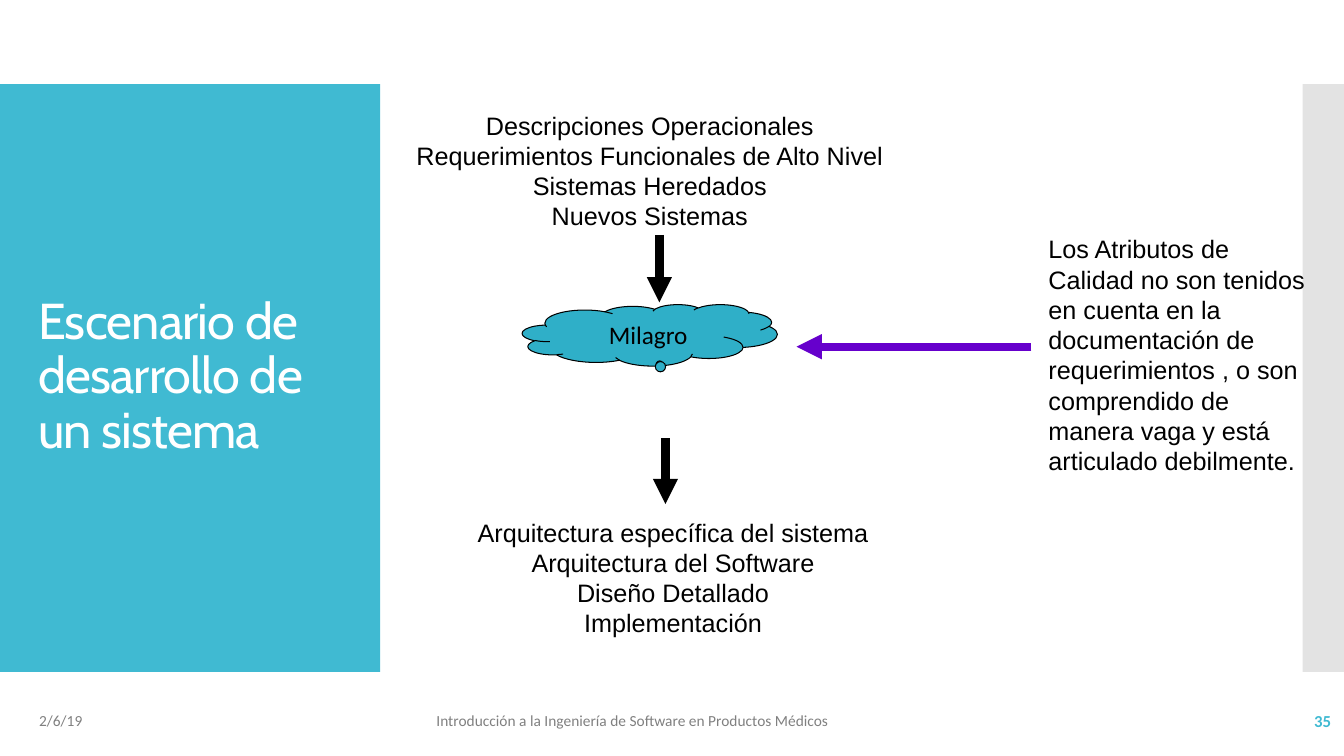
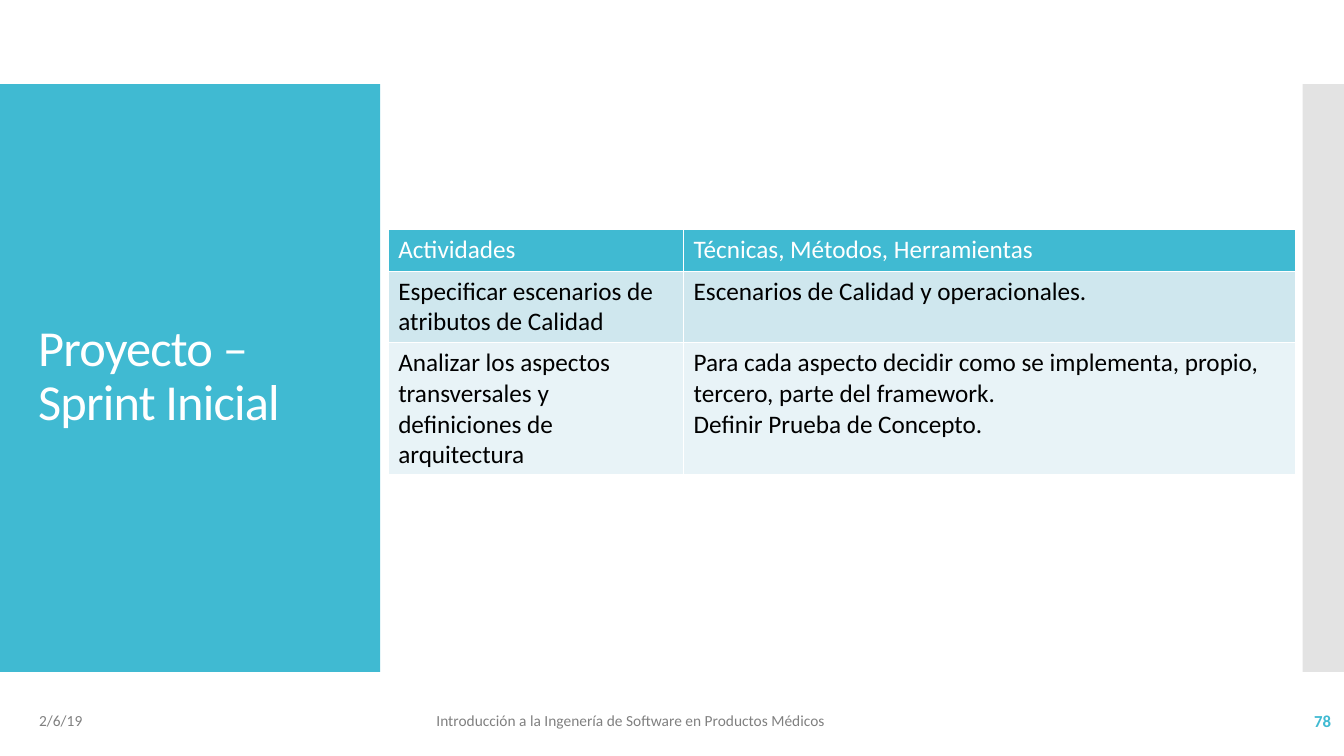
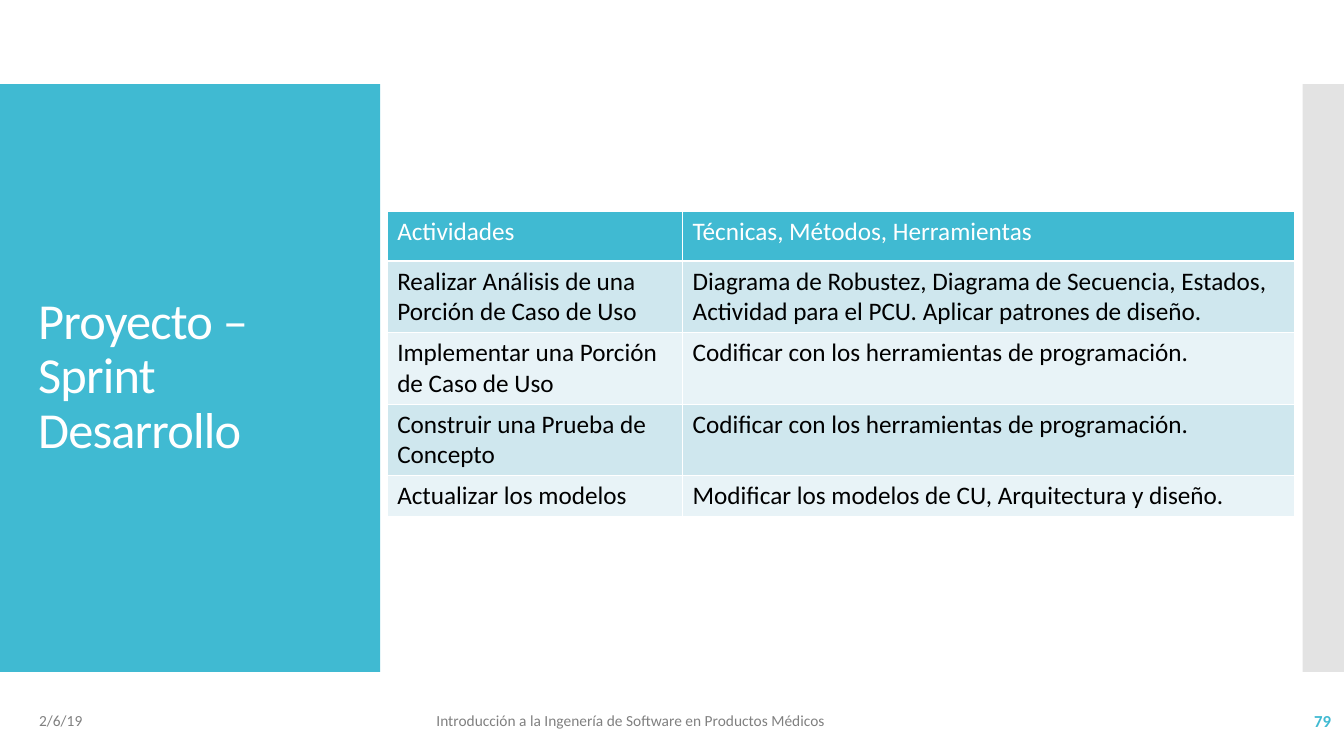
import pptx
import pptx.util
import pptx.dml.color
import pptx.enum.shapes
import pptx.enum.text
import pptx.oxml
import pptx.oxml.ns

Inches, Pt = pptx.util.Inches, pptx.util.Pt
SHAPE = pptx.enum.shapes.MSO_SHAPE
ALIGN = pptx.enum.text.PP_ALIGN
MIDDLE = pptx.enum.text.MSO_ANCHOR.MIDDLE
qn = pptx.oxml.ns.qn

# Shared look
WIDTH, HEIGHT = 13.33, 7.5
BAND_TOP, BAND_HEIGHT = HEIGHT / 9, HEIGHT * 7 / 9
TEAL, GREY, BLACK, WHITE = "40BAD2", "808080", "000000", "FFFFFF"
ROW_FILLS = ["CFE7EE", "E8F3F7"]
DATE = "2/6/19"

# Content
SCENARIO = {
    "title": "Escenario de desarrollo de un sistema", "title_font": "Cabin", "number": "35",
    "footer": "Introducción a la Ingeniería de Software en Productos Médicos",
}
INPUTS = ["Descripciones Operacionales", "Requerimientos Funcionales de Alto Nivel",
          "Sistemas Heredados", "Nuevos Sistemas"]
OUTPUTS = ["Arquitectura específica del sistema", "Arquitectura del Software",
           "Diseño Detallado", "Implementación"]
QUALITY_NOTE = ("Los Atributos de Calidad no son tenidos en cuenta en la documentación de "
                "requerimientos , o son comprendido de manera vaga y está articulado debilmente.")
# start, end, colour
ARROWS = [((6.54, 2.33), (6.54, 3), BLACK),
          ((6.6, 4.35), (6.6, 5), BLACK),
          ((10.23, 3.44), (7.9, 3.44), "6600CC")]

SPRINT_FOOTER = "Introducción a la Ingenería de Software en Productos Médicos"
TABLE_HEAD = ("Actividades", "Técnicas, Métodos, Herramientas")
COLUMNS = [2.93, 6.07]
# each row: height, activity, techniques
SPRINTS = [
    {"title": "Proyecto – Sprint Inicial", "title_font": "Calibri", "number": "78",
     "footer": SPRINT_FOOTER, "corner": (3.85, 2.28),
     "rows": [
         (0.41, *TABLE_HEAD),
         (0.71, "Especificar escenarios de atributos de Calidad",
          "Escenarios de Calidad y operacionales."),
         (1.31, "Analizar los aspectos transversales y definiciones de arquitectura",
          "Para cada aspecto decidir como se implementa, propio, tercero, parte del framework.\n"
          "Definir Prueba de Concepto."),
     ]},
    {"title": "Proyecto – Sprint Desarrollo", "title_font": "Calibri", "number": "79",
     "footer": SPRINT_FOOTER, "corner": (3.84, 2.1),
     "rows": [
         (0.49, *TABLE_HEAD),
         (0.71, "Realizar Análisis de una Porción de Caso de Uso",
          "Diagrama de Robustez, Diagrama de Secuencia, Estados, Actividad para el PCU. "
          "Aplicar patrones de diseño."),
         (0.71, "Implementar una Porción de Caso de Uso",
          "Codificar con los herramientas de programación."),
         (0.71, "Construir una Prueba de Concepto",
          "Codificar con los herramientas de programación."),
         (0.41, "Actualizar los modelos",
          "Modificar los modelos de CU, Arquitectura y diseño."),
     ]},
]


def rgb(colour):
    return pptx.dml.color.RGBColor.from_string(colour)


def paint(target, colour):
    target.fill.solid()
    target.fill.fore_color.rgb = rgb(colour)


def style(paragraph, size, font, colour, bold=False, align=None):
    paragraph.font.size, paragraph.font.name = Pt(size), font
    paragraph.font.color.rgb = rgb(colour)
    paragraph.font.bold = bold
    paragraph.alignment = align


def add_text(slide, box, lines, size=18, font="Arial", colour=BLACK, bold=False,
             align=None, anchor=None, wrap=True):
    frame = slide.shapes.add_textbox(*map(Inches, box)).text_frame
    frame.word_wrap = wrap
    frame.vertical_anchor = anchor
    frame.text = "\n".join(lines)
    for paragraph in frame.paragraphs:
        style(paragraph, size, font, colour, bold, align)
    return frame


def add_shape(slide, kind, box, colour):
    shape = slide.shapes.add_shape(kind, *map(Inches, box))
    shape.shadow.inherit = False
    paint(shape, colour)
    shape.line.fill.background()
    return shape


def add_arrow(slide, start, end, colour):
    arrow = slide.shapes.add_connector(pptx.enum.shapes.MSO_CONNECTOR.STRAIGHT,
                                       *map(Inches, start + end))
    arrow.line.width = Pt(6)
    arrow.line.color.rgb = rgb(colour)
    arrow.line._get_or_add_ln().append(pptx.oxml.ns.qn and
                                       pptx.oxml.parse_xml(
        '<a:tailEnd xmlns:a="http://schemas.openxmlformats.org/drawingml/2006/main" type="triangle"/>'))
    arrow._element.spPr.append(arrow._element.makeelement(qn("a:effectLst"), {}))


def add_frame(deck, page):
    """Slide with bands, title and footer."""
    slide = deck.slides.add_slide(deck.slide_layouts[6])
    add_shape(slide, SHAPE.RECTANGLE, (0, BAND_TOP, 3.77, BAND_HEIGHT), TEAL)
    side = add_shape(slide, SHAPE.RECTANGLE, (12.92, BAND_TOP, WIDTH - 12.92, BAND_HEIGHT), "C8C8C8")
    side_colour = side._element.spPr.find(qn("a:solidFill"))[0]
    side_colour.append(side_colour.makeelement(qn("a:alpha"), {"val": "50000"}))

    title = add_text(slide, (0.28, 1.23, 3.22, 5.03), [page["title"]], 36,
                     page["title_font"], WHITE, anchor=MIDDLE).paragraphs[0]
    title.line_spacing = 0.9
    title.runs[0]._r.get_or_add_rPr().set("spc", "-60")

    for left, width, text in [(0.29, 3, DATE), (4.23, 6.46, page["footer"])]:
        add_text(slide, (left, 6.95, width, 0.4), [text], 11, "Calibri", GREY, anchor=MIDDLE)
    add_text(slide, (11.63, 6.95, 1.67, 0.4), [page["number"]], 12, "Calibri", TEAL,
             bold=True, align=ALIGN.RIGHT, anchor=MIDDLE)
    return slide


def add_borders(cell):
    props = cell._tc.get_or_add_tcPr()
    for place, side in enumerate(("a:lnL", "a:lnR", "a:lnT", "a:lnB")):
        line = props.makeelement(qn(side), {"w": str(Pt(1))})
        fill = line.makeelement(qn("a:solidFill"), {})
        fill.append(fill.makeelement(qn("a:srgbClr"), {"val": WHITE}))
        line.append(fill)
        props.insert(place, line)


def add_activities(slide, corner, rows):
    size = (sum(COLUMNS), sum(row[0] for row in rows))
    table = slide.shapes.add_table(len(rows), len(COLUMNS), *map(Inches, corner + size)).table
    for column, width in zip(table.columns, COLUMNS):
        column.width = Inches(width)
    for r, (height, *texts) in enumerate(rows):
        table.rows[r].height = Inches(height)
        for c, text in enumerate(texts):
            cell = table.cell(r, c)
            cell.text = text
            paint(cell, ROW_FILLS[(r - 1) % 2] if r else TEAL)
            add_borders(cell)
            for paragraph in cell.text_frame.paragraphs:
                style(paragraph, 18, "Calibri", BLACK if r else WHITE)


def build_scenario(deck):
    slide = add_frame(deck, SCENARIO)
    for arrow in ARROWS:
        add_arrow(slide, *arrow)
    for box, lines in [((4.01, 1.04, 4.87, 1.31), INPUTS), ((4.62, 5.08, 4.11, 1.31), OUTPUTS)]:
        add_text(slide, box, lines, align=ALIGN.CENTER, wrap=False)
    add_text(slide, (10.3, 2.27, 2.75, 2.52), [QUALITY_NOTE])
    cloud = add_shape(slide, SHAPE.CLOUD_CALLOUT, (5.18, 3.02, 2.53, 0.61), "2FAFC8")
    cloud.adjustments[0], cloud.adjustments[1] = 0.04, 0.49
    cloud.line.color.rgb = rgb(BLACK)
    cloud.line.width = Pt(0.75)
    add_text(slide, (5.94, 3.12, 1.03, 0.4), ["Milagro"], font="Calibri", wrap=False)


def main():
    deck = pptx.Presentation()
    deck.slide_width, deck.slide_height = Inches(WIDTH), Inches(HEIGHT)
    build_scenario(deck)
    for sprint in SPRINTS:
        add_activities(add_frame(deck, sprint), sprint["corner"], sprint["rows"])
    deck.save("out.pptx")


if __name__ == "__main__":
    main()
